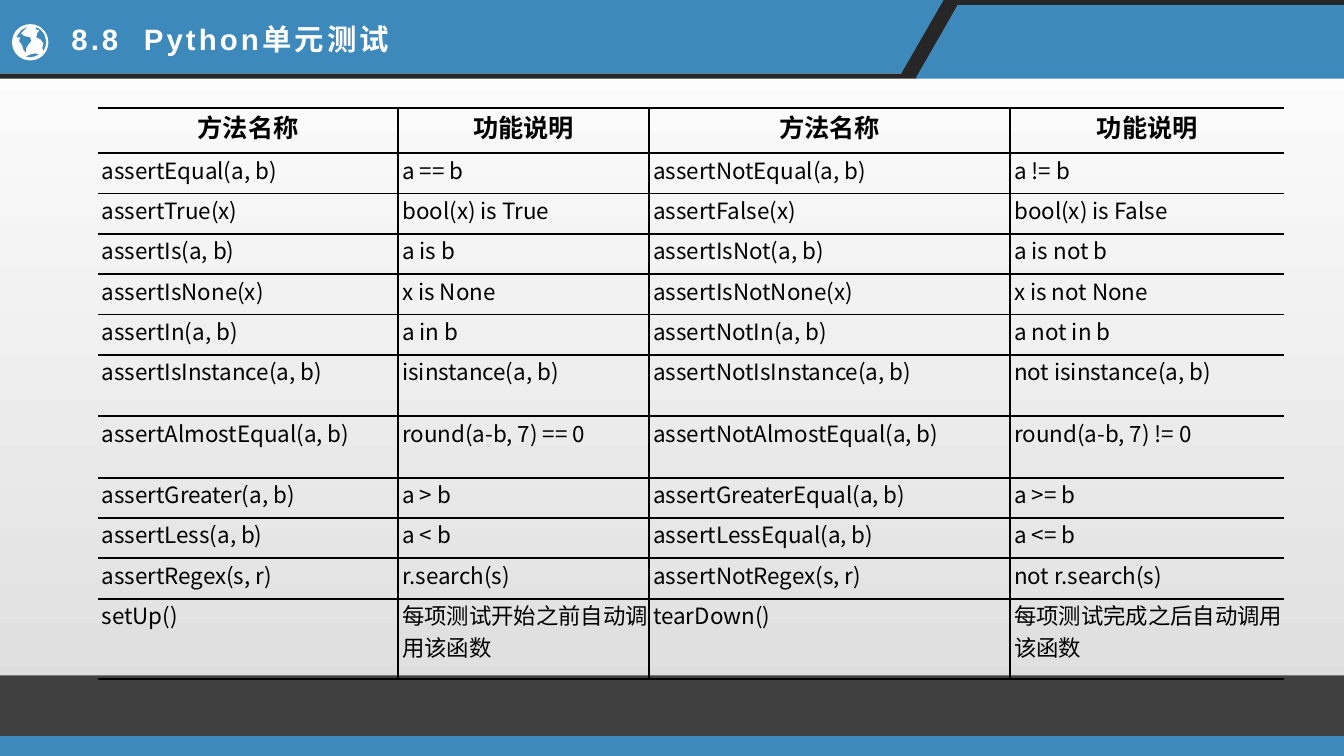
"""Builds the slide on the assert methods of Python unit tests."""
from dataclasses import dataclass
from math import cos, pi, sin

from lxml import etree
from pptx import Presentation
from pptx import util as u
from pptx.dml.color import RGBColor
from pptx.enum import shapes, text
from pptx.oxml import ns


@dataclass(frozen=True)
class Theme:
    blue: str = "3D89BC"
    black: str = "262626"
    grey: str = "404040"
    white: str = "FFFFFF"
    fade: str = "DCDCDC"
    ink: str = "000000"
    latin: str = "Arial"
    han: str = "Noto Sans CJK SC"
    title: float = 21
    head: float = 18
    body: float = 16
    rule: float = 1.5


T = Theme()
WIDE, TALL = 13.33, 7.5
TITLE = "8.8  Python单元测试"
ROWS = [
    ("方法名称", "功能说明", "方法名称", "功能说明"),
    ("assertEqual(a, b)", "a == b", "assertNotEqual(a, b)", "a != b"),
    ("assertTrue(x)", "bool(x) is True", "assertFalse(x)", "bool(x) is False"),
    ("assertIs(a, b)", "a is b", "assertIsNot(a, b)", "a is not b"),
    ("assertIsNone(x)", "x is None", "assertIsNotNone(x)", "x is not None"),
    ("assertIn(a, b)", "a in b", "assertNotIn(a, b)", "a not in b"),
    ("assertIsInstance(a, b)", "isinstance(a, b)",
     "assertNotIsInstance(a, b)", "not isinstance(a, b)"),
    ("assertAlmostEqual(a, b)", "round(a-b, 7) == 0",
     "assertNotAlmostEqual(a, b)", "round(a-b, 7) != 0"),
    ("assertGreater(a, b)", "a > b", "assertGreaterEqual(a, b)", "a >= b"),
    ("assertLess(a, b)", "a < b", "assertLessEqual(a, b)", "a <= b"),
    ("assertRegex(s, r)", "r.search(s)", "assertNotRegex(s, r)", "not r.search(s)"),
    ("setUp()", "每项测试开始之前自动调用该函数",
     "tearDown()", "每项测试完成之后自动调用该函数"),
]
COLS = [2.98, 2.49, 3.58, 2.72]
HIGH = {0: 0.45, 6: 0.61, 7: 0.61, 11: 0.8}
STEP = 0.4
LEFT, TOP = 0.97, 1.07

BANNER = [
    (T.blue, [(0, 0), (9.4, 0), (8.99, 0.73), (0, 0.73)]),
    (T.black, [(9.36, 0), (WIDE, 0), (WIDE, 0.05), (9.5, 0.05), (9.09, 0.78),
               (0, 0.78), (0, 0.73), (8.94, 0.73)]),
    (T.blue, [(9.5, 0.05), (WIDE, 0.05), (WIDE, 0.78), (9.08, 0.78)]),
]
FOOTER = [(T.blue, 7.29, 0.21), (T.grey, 6.7, 0.6)]
GLOBE = (0.3, 0.42, 0.18)
LANDS = [
    [(0.46, 0.41), (0.45, 0.47), (0.43, 0.51), (0.42, 0.48), (0.43, 0.43),
     (0.4, 0.39), (0.36, 0.37), (0.37, 0.33), (0.39, 0.3), (0.35, 0.29),
     (0.36, 0.27), (0.4, 0.29), (0.44, 0.34)],
    [(0.28, 0.26), (0.26, 0.28), (0.24, 0.3), (0.21, 0.33), (0.23, 0.35),
     (0.25, 0.36), (0.3, 0.37), (0.31, 0.41), (0.27, 0.46), (0.26, 0.48),
     (0.26, 0.53), (0.23, 0.49), (0.22, 0.45), (0.19, 0.41), (0.2, 0.37),
     (0.16, 0.37), (0.21, 0.3)],
    [(0.25, 0.56), (0.28, 0.55), (0.3, 0.54), (0.35, 0.53), (0.39, 0.54),
     (0.35, 0.56), (0.3, 0.57)],
]


def paint(shape, hue):
    shape.shadow.inherit = False
    shape.fill.solid()
    shape.fill.fore_color.rgb = RGBColor.from_string(hue)
    shape.line.fill.background()


def outline(slide, hue, rings):
    rings = [[(round(x * 1000), round(y * 1000)) for x, y in ring] for ring in rings]
    pen = slide.shapes.build_freeform(*rings[0][0], scale=u.Inches(1) / 1000)
    for num, ring in enumerate(rings):
        if num:
            pen.move_to(*ring[0])
        pen.add_line_segments(ring[1:], close=True)
    paint(pen.convert_to_shape(), hue)


def style(para, face, size, hue, bold):
    run = para.runs[0]
    font = run.font
    font.name, font.size, font.bold = face, u.Pt(size), bold
    font.color.rgb = RGBColor.from_string(hue)
    east = etree.SubElement(font._element, ns.qn("a:ea"))
    east.set("typeface", T.han)
    return font


def edge(cell, side, shown):
    line = etree.SubElement(cell._tc.get_or_add_tcPr(), ns.qn("a:ln" + side))
    line.set("w", str(u.Pt(T.rule) if shown else 0))
    fill = etree.SubElement(line, ns.qn("a:solidFill" if shown else "a:noFill"))
    if shown:
        etree.SubElement(fill, ns.qn("a:srgbClr")).set("val", T.ink)


def backdrop(slide):
    fill = slide.background.fill
    fill.gradient()
    fill.gradient_angle = 270
    for stop, hue, place in zip(fill.gradient_stops, (T.white, T.fade), (0, 1)):
        stop.color.rgb = RGBColor.from_string(hue)
        stop.position = place
    for hue, ring in BANNER:
        outline(slide, hue, [ring])
    for hue, top, tall in FOOTER:
        bar = slide.shapes.add_shape(
            shapes.MSO_SHAPE.RECTANGLE, 0, u.Inches(top), u.Inches(WIDE), u.Inches(tall))
        paint(bar, hue)
    x, y, rad = GLOBE
    turns = [2 * pi * k / 48 for k in range(48)]
    rim = [(x + rad * cos(a), y + rad * sin(a)) for a in turns]
    outline(slide, T.white, [rim, *LANDS])


def heading(slide):
    box = slide.shapes.add_textbox(*map(u.Inches, (0.61, 0.16, 5.9, 0.45)))
    frame = box.text_frame
    frame.word_wrap = True
    frame.vertical_anchor = text.MSO_ANCHOR.MIDDLE
    frame.text = TITLE
    font = style(frame.paragraphs[0], T.latin, T.title, T.white, True)
    font._element.set("spc", "220")


def grid(slide):
    highs = [HIGH.get(k, STEP) for k in range(len(ROWS))]
    area = map(u.Inches, (LEFT, TOP, sum(COLS), sum(highs)))
    table = slide.shapes.add_table(len(ROWS), len(COLS), *area).table
    table.first_row = table.horz_banding = False
    for col, wide in zip(table.columns, COLS):
        col.width = u.Inches(wide)
    for row, high, words in zip(table.rows, highs, ROWS):
        row.height = u.Inches(high)
        head = words is ROWS[0]
        for k, (cell, word) in enumerate(zip(row.cells, words)):
            cell.margin_left = u.Inches(0 if head else 0.04)
            cell.margin_right = cell.margin_top = cell.margin_bottom = 0
            shown = {"L": k > 0, "R": k < len(COLS) - 1, "T": True, "B": True}
            for side, on in shown.items():
                edge(cell, side, on)
            cell.fill.background()
            cell.text = word
            para = cell.text_frame.paragraphs[0]
            para.alignment = text.PP_ALIGN.CENTER if head else text.PP_ALIGN.LEFT
            style(para, T.han, T.head if head else T.body, T.ink, head)


def main():
    deck = Presentation()
    deck.slide_width, deck.slide_height = u.Inches(WIDE), u.Inches(TALL)
    slide = deck.slides.add_slide(deck.slide_layouts[6])
    backdrop(slide)
    heading(slide)
    grid(slide)
    deck.save("out.pptx")


if __name__ == "__main__":
    main()
